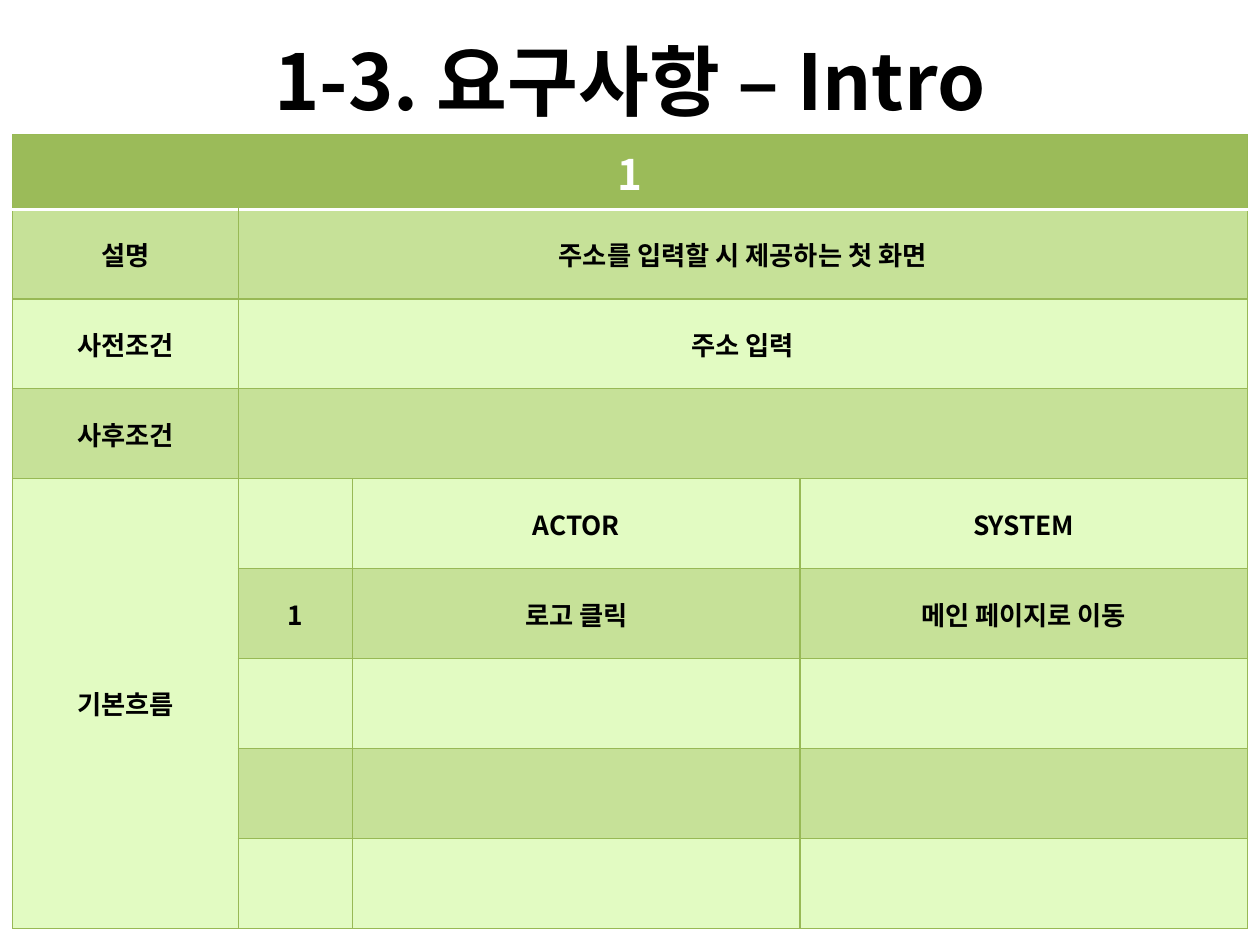
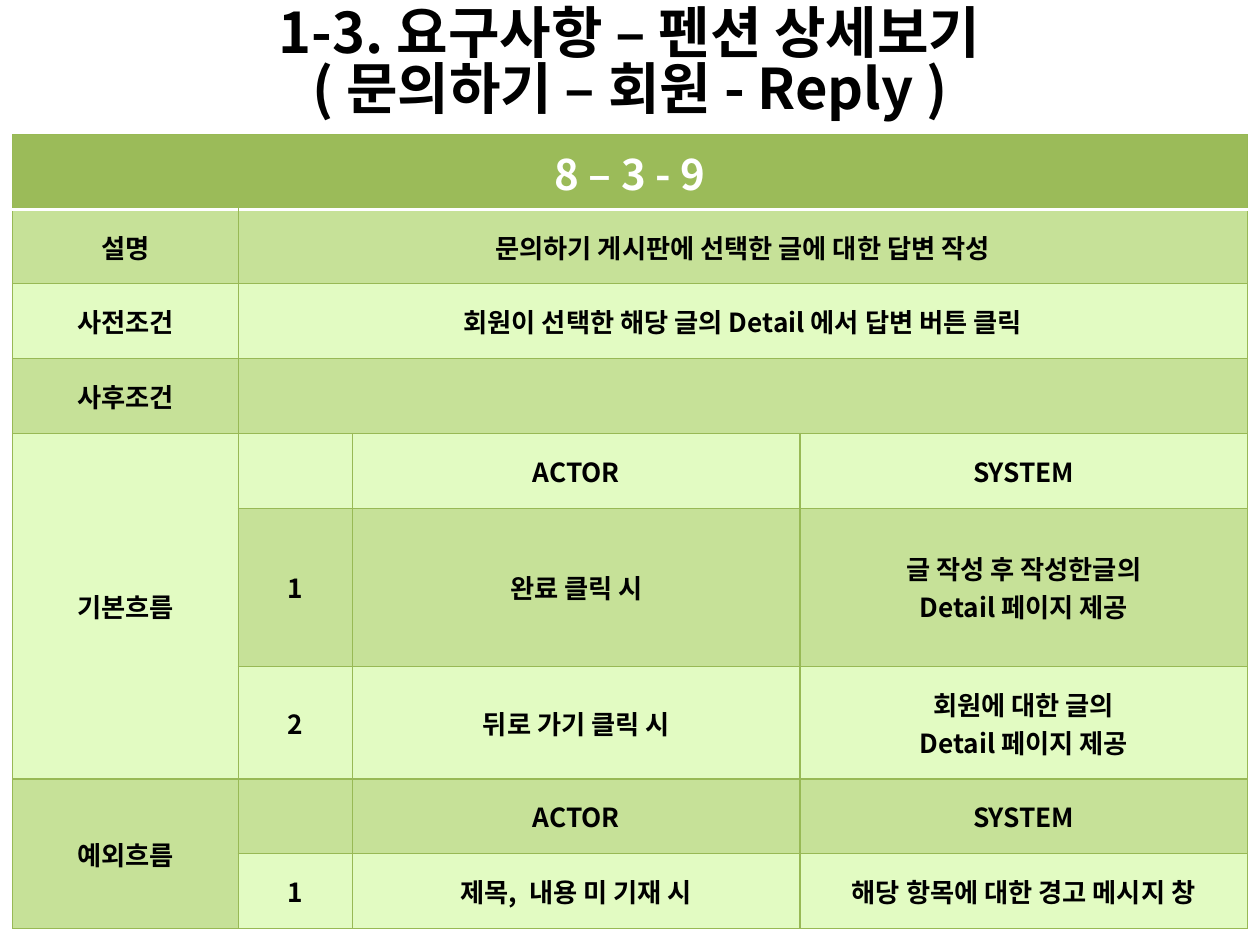
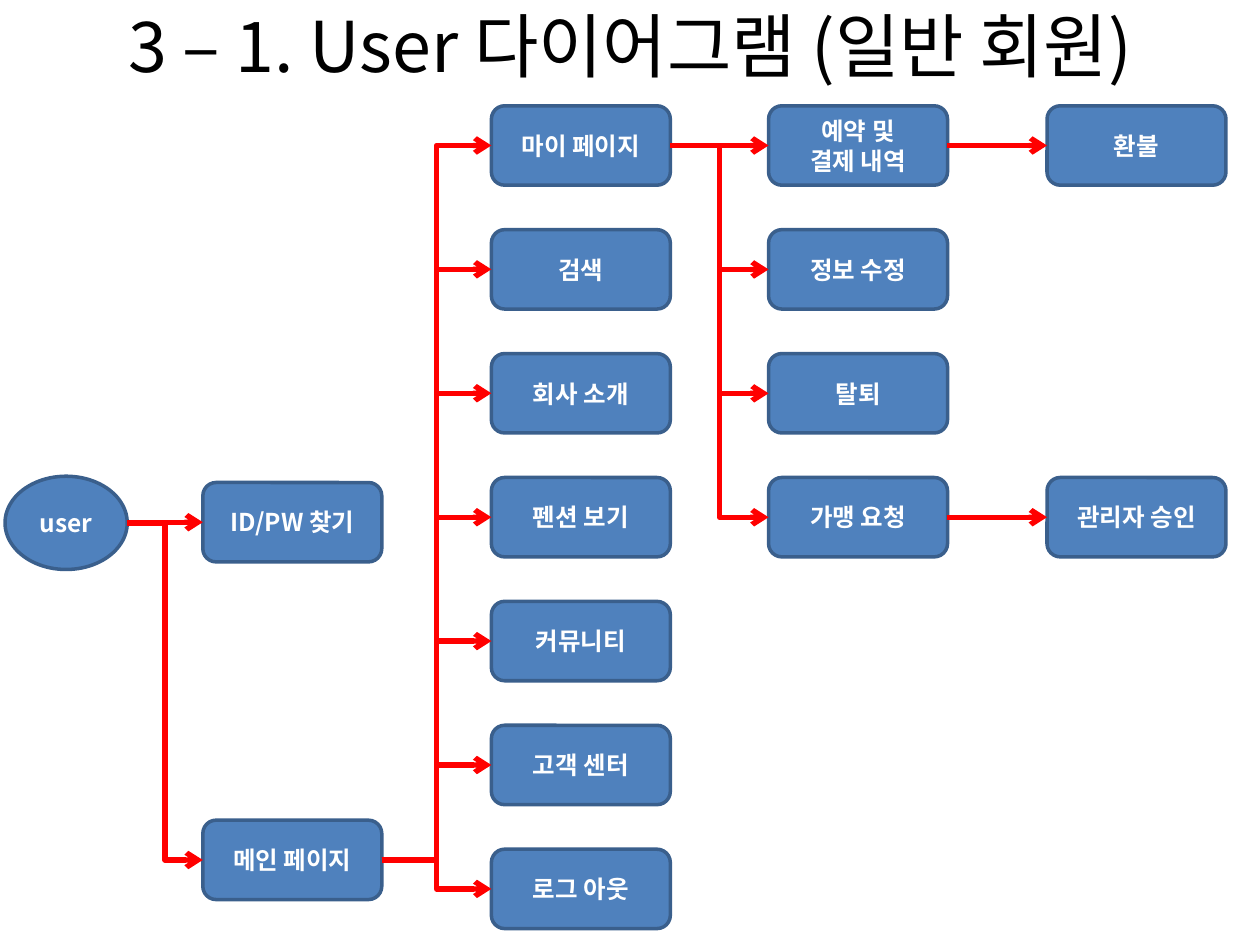
from lxml import etree
from pptx import Presentation
from pptx.dml.color import RGBColor
from pptx.enum.shapes import MSO_CONNECTOR as LINE, MSO_SHAPE as SHAPE
from pptx.enum.text import MSO_ANCHOR as ANCHOR, PP_ALIGN as ALIGN
from pptx.oxml.ns import qn
from pptx.util import Inches, Pt

FONT = "Noto Sans CJK KR"
BLACK, WHITE, RED = "000000", "FFFFFF", "FF0000"
HEADER, BAND, PALE, GRID = "9BBB59", "C6E198", "E2FBC2", "98B955"
BLUE, OUTLINE = "4F81BD", "3A5F8C"
TABLE_HEIGHT, HEADER_HEIGHT = 6.3, 0.59
COLUMNS = [1.79, 0.91, 3.55, 3.55]
BOX_W, BOX_H = 1.42, 0.63
TOP, PITCH = 0.84, 5.9 / 6
COLUMN_TITLES = ("", "ACTOR", "SYSTEM")


def color(value):
    return RGBColor.from_string(value)


def write(tf, text, size, fill, bold=True, spacing=None):
    tf.text = text
    tf.word_wrap = True
    tf.vertical_anchor = ANCHOR.MIDDLE
    style(tf, size, fill, bold, spacing)


def style(tf, size, fill, bold=True, spacing=None):
    for p in tf.paragraphs:
        p.alignment = ALIGN.CENTER
        if spacing:
            p.line_spacing = spacing
        for r in p.runs:
            r.font.size = Pt(size)
            r.font.bold = bold
            r.font.name = FONT
            r.font.color.rgb = color(fill)
            ea = etree.SubElement(r.font._element, qn("a:ea"))
            ea.set("typeface", FONT)


def add_title(slide, text, top, size, bold=True, spacing=None):
    sp = slide.shapes.add_textbox(Inches(0.5), Inches(top), Inches(9), Inches(1.25))
    write(sp.text_frame, text, size, BLACK, bold, spacing)


def set_border(cell, side, fill, width):
    ln = etree.SubElement(cell._tc.get_or_add_tcPr(), qn("a:" + side), w=str(Pt(width)))
    solid = etree.SubElement(ln, qn("a:solidFill"))
    etree.SubElement(solid, qn("a:srgbClr"), val=fill)


def format_cell(cell, row, text):
    for side in ("lnL", "lnR", "lnT", "lnB"):
        under_header = (row, side) in ((0, "lnB"), (1, "lnT"))
        set_border(cell, side, *((WHITE, 2) if under_header else (GRID, 0.75)))
    cell.fill.solid()
    cell.fill.fore_color.rgb = color(HEADER if row == 0 else BAND if row % 2 else PALE)
    cell.vertical_anchor = ANCHOR.MIDDLE
    cell.text = text
    style(cell.text_frame, 24 if row == 0 else 15, BLACK if row else WHITE)


def add_requirement_table(slide, number, conditions, flows, tall_rows):
    rows = [(number, "", "", "")]
    merges = [(0, 0, 0, 3)]
    for label, detail in conditions:
        merges.append((len(rows), 1, len(rows), 3))
        rows.append((label, detail, "", ""))
    for label, steps in flows:
        first = len(rows)
        rows += [("", *step) for step in (COLUMN_TITLES, *steps)]
        rows[first] = (label, *COLUMN_TITLES)
        merges.append((first, 0, len(rows) - 1, 0))

    heights = {0: HEADER_HEIGHT, **tall_rows}
    shared = (TABLE_HEIGHT - sum(heights.values())) / (len(rows) - len(heights))
    frame = slide.shapes.add_table(len(rows), len(COLUMNS), Inches(0.1), Inches(1.07),
                                   Inches(sum(COLUMNS)), Inches(TABLE_HEIGHT))
    table = frame.table
    table.first_row = table.horz_banding = False
    for column, width in zip(table.columns, COLUMNS):
        column.width = Inches(width)
    for i, texts in enumerate(rows):
        table.rows[i].height = Inches(heights.get(i, shared))
        for j, text in enumerate(texts):
            format_cell(table.cell(i, j), i, text)
    for top, left, bottom, right in merges:
        table.cell(top, left).merge(table.cell(bottom, right))


def add_node(slide, text, x, y, w=BOX_W, h=BOX_H, kind=SHAPE.ROUNDED_RECTANGLE):
    sp = slide.shapes.add_shape(kind, Inches(x), Inches(y), Inches(w), Inches(h))
    sp.shadow.inherit = False
    sp.fill.solid()
    sp.fill.fore_color.rgb = color(BLUE)
    sp.line.color.rgb = color(OUTLINE)
    sp.line.width = Pt(2)
    write(sp.text_frame, text, 14, WHITE)
    return sp


def add_arrow(slide, source, target, kind=LINE.ELBOW):
    line = slide.shapes.add_connector(
        kind, source.left + source.width, source.top + source.height // 2,
        target.left, target.top + target.height // 2)
    line.line.color.rgb = color(RED)
    line.line.width = Pt(3)
    etree.SubElement(line.line._get_or_add_ln(), qn("a:tailEnd"), type="arrow")
    etree.SubElement(line._element.spPr, qn("a:effectLst"))


def add_column(slide, x, labels):
    return [add_node(slide, text, x, TOP + i * PITCH) for i, text in enumerate(labels)]


def add_user_diagram(slide):
    user = add_node(slide, "user", 0.04, 3.78, 0.97, 0.74, SHAPE.OVAL)
    find_id = add_node(slide, "ID/PW 찾기", 1.61, 3.83)
    main_page = add_node(slide, "메인 페이지", 1.61, 6.51)
    menus = add_column(slide, 3.9, ["마이 페이지", "검색", "회사 소개", "펜션 보기",
                                    "커뮤니티", "고객 센터", "로그 아웃"])
    my_pages = add_column(slide, 6.1, ["예약 및\n결제 내역", "정보 수정", "탈퇴", "가맹 요청"])
    refund = add_node(slide, "환불", 8.31, TOP)
    approval = add_node(slide, "관리자 승인", 8.31, TOP + 3 * PITCH)

    branches = [(user, [find_id, main_page]), (main_page, menus), (menus[0], my_pages)]
    for source, targets in branches:
        for target in targets:
            add_arrow(slide, source, target)
    add_arrow(slide, my_pages[0], refund, LINE.STRAIGHT)
    add_arrow(slide, my_pages[3], approval, LINE.STRAIGHT)


def main():
    prs = Presentation()
    prs.slide_width, prs.slide_height = Inches(10), Inches(7.5)
    intro, reply, diagram = [prs.slides.add_slide(prs.slide_layouts[6]) for _ in range(3)]

    add_title(intro, "1-3. 요구사항 – Intro", 0.01, 44)
    add_requirement_table(
        intro, "1",
        [("설명", "주소를 입력할 시 제공하는 첫 화면"), ("사전조건", "주소 입력"), ("사후조건", "")],
        [("기본흐름", [("1", "로고 클릭", "메인 페이지로 이동")] + [("", "", "")] * 3)],
        {})

    add_title(reply, "1-3. 요구사항 – 펜션 상세보기\v( 문의하기 – 회원 - Reply )", -0.11, 32,
              spacing=0.83)
    add_requirement_table(
        reply, "8 – 3 - 9",
        [("설명", "문의하기 게시판에 선택한 글에 대한 답변 작성"),
         ("사전조건", "회원이 선택한 해당 글의 Detail 에서 답변 버튼 클릭"),
         ("사후조건", "")],
        [("기본흐름", [("1", "완료 클릭 시", "글 작성 후 작성한글의\nDetail 페이지 제공"),
                   ("2", "뒤로 가기 클릭 시", "회원에 대한 글의\nDetail 페이지 제공")]),
         ("예외흐름", [("1", "제목,  내용 미 기재 시", "해당 항목에 대한 경고 메시지 창")])],
        {5: 1.26, 6: 0.89})

    add_title(diagram, "3 – 1. User 다이어그램 (일반 회원)", -0.27, 40, bold=False)
    add_user_diagram(diagram)
    prs.save("out.pptx")


if __name__ == "__main__":
    main()
